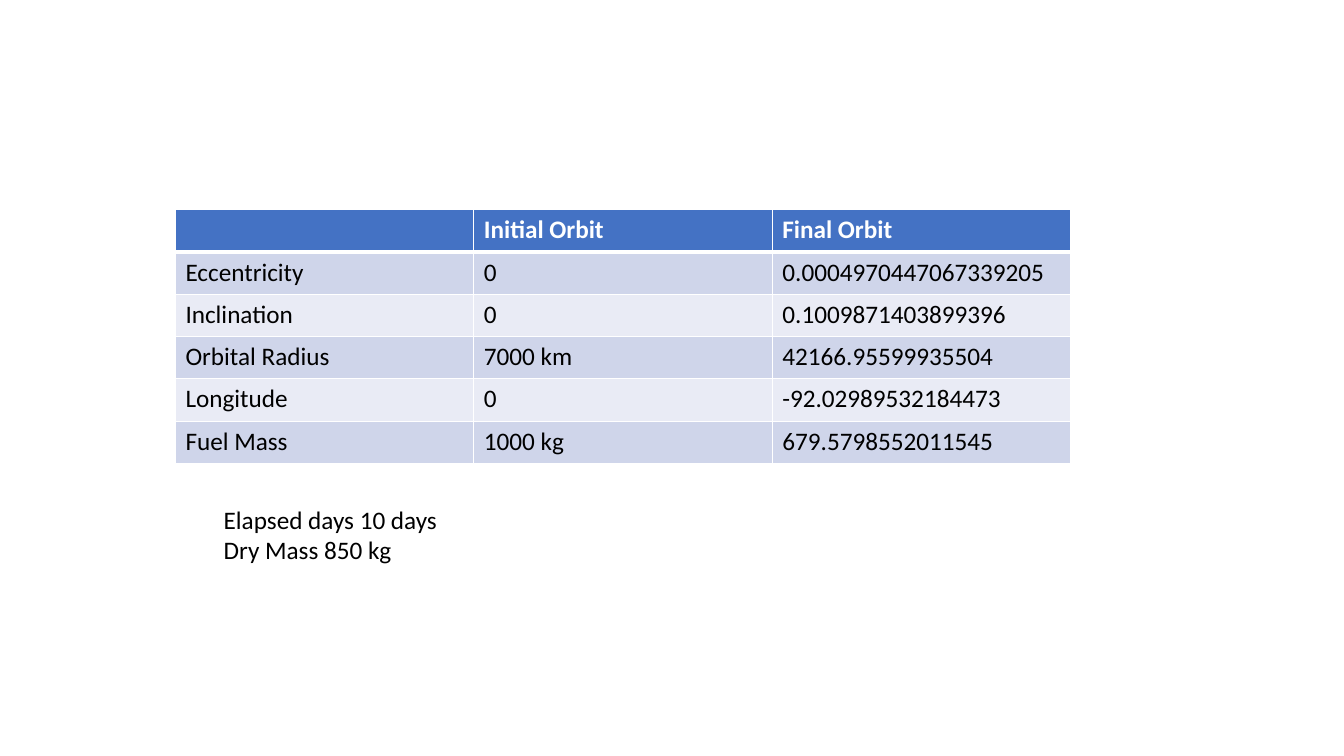
from typing import NamedTuple

from lxml.etree import SubElement as Sub
from pptx import Presentation
from pptx.dml.color import RGBColor as Rgb
from pptx.oxml.ns import qn
from pptx.util import Inches, Pt

WHITE, BLACK, BLUE = "FFFFFF", "000000", "4472C4"
BANDS = ("CFD5EA", "E9EBF5")
NOTES = ("Elapsed days 10 days", "Dry Mass 850 kg")


class Orbit(NamedTuple):
    label: str
    first: str
    final: str


ROWS = (
    Orbit("", "Initial Orbit", "Final Orbit"),
    Orbit("Eccentricity", "0", "0.0004970447067339205"),
    Orbit("Inclination", "0", "0.1009871403899396"),
    Orbit("Orbital Radius", "7000 km", "42166.95599935504"),
    Orbit("Longitude", "0", "-92.02989532184473"),
    Orbit("Fuel Mass", "1000 kg", "679.5798552011545"),
)


def color(code: str) -> Rgb:
    return Rgb.from_string(code)


def style(para, code: str, bold: bool = False) -> None:
    font = para.font
    font.name, font.size, font.bold = "Calibri", Pt(18), bold
    font.color.rgb = color(code)


def edge(cell, side: str, width: float) -> None:
    props = cell._tc.get_or_add_tcPr()
    line = Sub(props, qn(f"a:ln{side}"), w=str(Pt(width)))
    fill = Sub(line, qn("a:solidFill"))
    Sub(fill, qn("a:srgbClr"), val=WHITE)


def draw_cell(cell, text: str, row: int) -> None:
    head = row == 0
    widths = {"L": 1, "R": 1, "T": 3 if row == 1 else 1, "B": 3 if head else 1}
    for side, width in widths.items():
        edge(cell, side, width)
    cell.fill.solid()
    cell.fill.fore_color.rgb = color(BLUE if head else BANDS[(row - 1) % 2])
    cell.text = text
    style(cell.text_frame.paragraphs[0], WHITE if head else BLACK, head)


deck = Presentation()
deck.slide_width, deck.slide_height = Inches(13.33), Inches(7.5)
slide = deck.slides.add_slide(deck.slide_layouts[6])

# Orbit table
cols = len(Orbit._fields)
table = slide.shapes.add_table(
    len(ROWS), cols, Inches(1.74), Inches(2.08),
    Inches(2.96 * cols), Inches(0.42 * len(ROWS)),
).table
for row, orbit in enumerate(ROWS):
    for col, text in enumerate(orbit):
        draw_cell(table.cell(row, col), text, row)

# Mission notes
box = slide.shapes.add_textbox(Inches(2.12), Inches(4.95), Inches(8.13), Inches(1.01))
frame = box.text_frame
frame.word_wrap = True
frame.text = "\n".join(NOTES)
for para in frame.paragraphs:
    style(para, BLACK)

deck.save("out.pptx")
